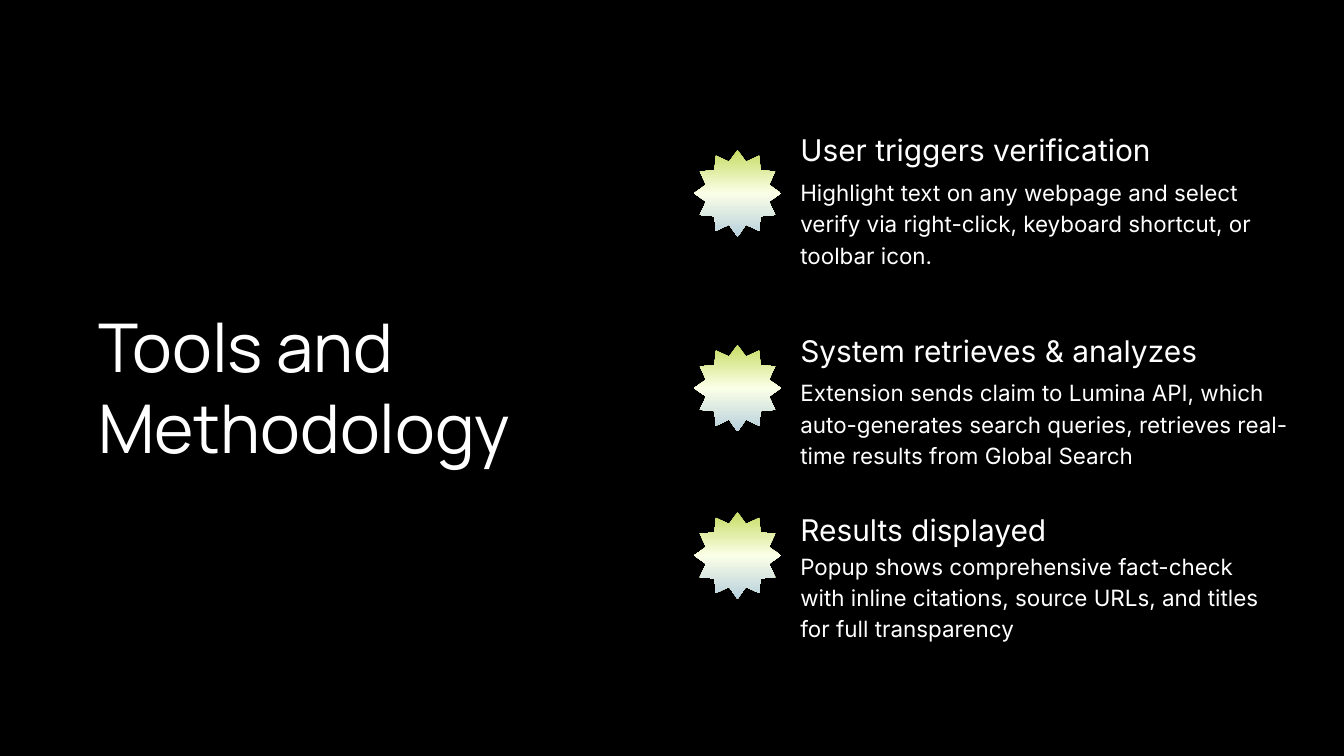
from copy import deepcopy

from pptx import Presentation
from pptx.dml.color import RGBColor
from pptx.enum.shapes import MSO_SHAPE as Preset
from pptx.enum.text import MSO_ANCHOR as Anchor, MSO_AUTO_SIZE as AutoSize, PP_ALIGN as Align
from pptx.oxml.ns import qn
from pptx.util import Inches, Pt

COLORS = {
    "background": "000000",
    "text": "FFFFFF",
    "lime": "C6DB63",
    "cream": "FBFFE7",
    "mist": "B7D0DD",
}
BADGE_STOPS = [(0, "lime"), (0.5, "cream"), (1, "mist")]

# Columns of the layout, in inches
TITLE_LEFT, BADGE_LEFT, TEXT_LEFT = 1.46, 10.33, 11.91
BADGE_SIZE, TEXT_WIDTH, WIDE_TEXT_WIDTH = 1.29, 6.96, 7.75

# Badge top, heading top, body top, body width, heading, body
STEPS = [
    (2.23, 1.96, 2.6, TEXT_WIDTH, "User triggers verification",
     "Highlight text on any webpage and select verify via right-click, "
     "keyboard shortcut, or toolbar icon."),
    (5.13, 4.95, 5.58, WIDE_TEXT_WIDTH, "System retrieves & analyzes",
     "Extension sends claim to Lumina API, which auto-generates search "
     "queries, retrieves real-time results from Global Search"),
    (7.62, 7.61, 8.16, TEXT_WIDTH, "Results displayed",
     "Popup shows comprehensive fact-check with inline citations, source "
     "URLs, and titles for full transparency"),
]


def color(name):
    return RGBColor.from_string(COLORS[name])


def write_text(shape, text, font, size, line_spacing):
    """Fill a text shape with one left-aligned run and no margins."""
    frame = shape.text_frame
    frame.word_wrap = True
    frame.auto_size = AutoSize.NONE
    frame.vertical_anchor = Anchor.TOP
    frame.margin_left = frame.margin_right = 0
    frame.margin_top = frame.margin_bottom = 0
    paragraph = frame.paragraphs[0]
    paragraph.alignment = Align.LEFT
    paragraph.line_spacing = Pt(line_spacing)
    run = paragraph.add_run()
    run.text = text
    run.font.name = font
    run.font.size = Pt(size)
    run.font.color.rgb = color("text")


def add_title(slide, text):
    title = slide.shapes.title
    title.left, title.top = Inches(TITLE_LEFT), Inches(4.55)
    title.width, title.height = Inches(7.27), Inches(2.42)
    write_text(title, text, "Manrope", 72, 86.4)


def add_text(slide, top, width, height, text, size, line_spacing):
    box = slide.shapes.add_textbox(
        Inches(TEXT_LEFT), Inches(top), Inches(width), Inches(height))
    write_text(box, text, "Inter", size, line_spacing)


def add_badge(slide, top):
    """Add a twelve-point star with a vertical three-colour gradient."""
    badge = slide.shapes.add_shape(
        Preset.STAR_12_POINT, Inches(BADGE_LEFT), Inches(top),
        Inches(BADGE_SIZE), Inches(BADGE_SIZE))
    badge.shadow.inherit = False
    badge.line.fill.background()
    badge.fill.gradient()
    badge.fill.gradient_angle = 270
    # The default gradient has two stops, so a third is needed
    stop_list = badge.fill._xPr.find(qn("a:gradFill")).find(qn("a:gsLst"))
    stop_list.append(deepcopy(stop_list[0]))
    for stop, (position, name) in zip(badge.fill.gradient_stops, BADGE_STOPS):
        stop.position = position
        stop.color.rgb = color(name)


def main():
    presentation = Presentation()
    presentation.slide_width = Inches(20)
    presentation.slide_height = Inches(11.25)
    slide = presentation.slides.add_slide(presentation.slide_layouts[5])
    slide.background.fill.solid()
    slide.background.fill.fore_color.rgb = color("background")

    add_title(slide, "Tools and Methodology")

    # Steps: badge, heading and description
    for badge_top, heading_top, body_top, body_width, heading, body in STEPS:
        add_badge(slide, badge_top)
        add_text(slide, heading_top, TEXT_WIDTH, 0.54, heading, 32, 38.4)
        add_text(slide, body_top, body_width, 1.36, body, 24, 33.6)

    presentation.save("out.pptx")


if __name__ == "__main__":
    main()
